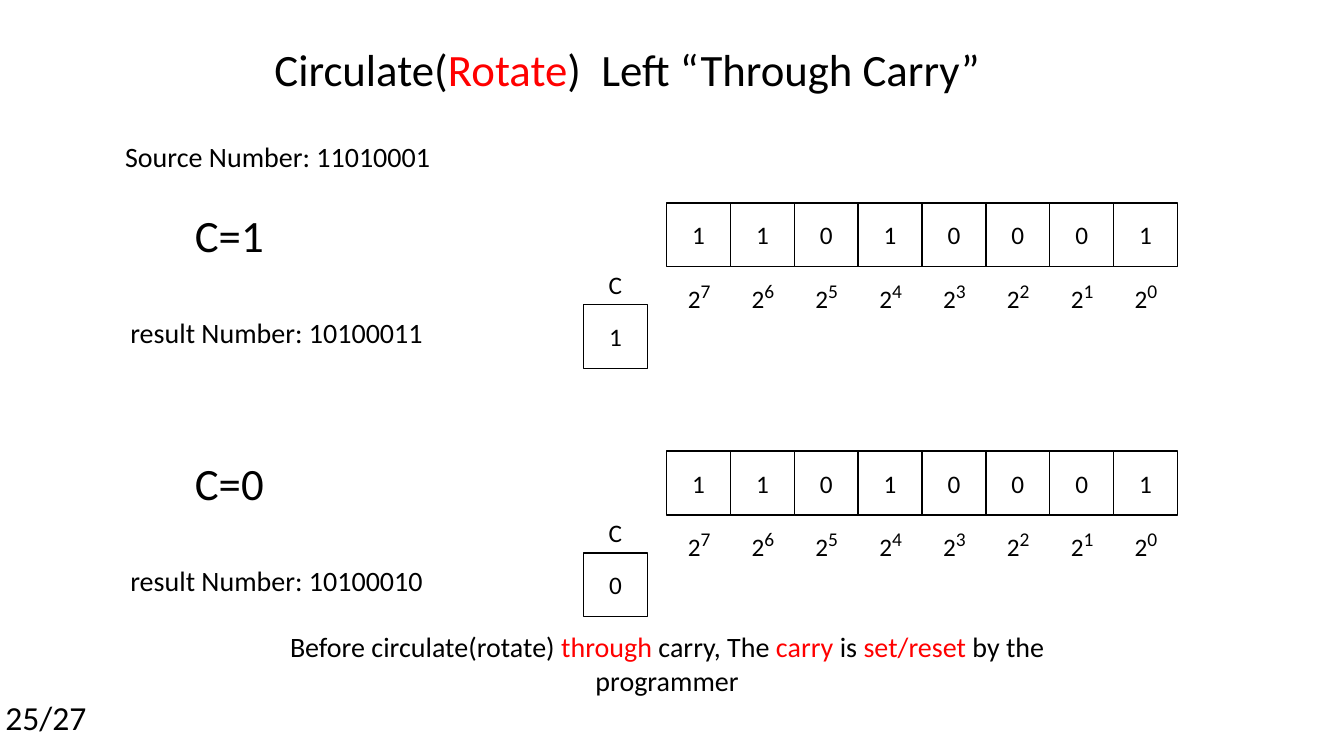
from pptx import Presentation
from pptx.dml.color import RGBColor
from pptx.enum.shapes import MSO_SHAPE
from pptx.enum.text import MSO_ANCHOR, PP_ALIGN
from pptx.util import Pt

RECT = MSO_SHAPE.RECTANGLE
LEFT, MID = PP_ALIGN.LEFT, PP_ALIGN.CENTER
TOP, CORE = MSO_ANCHOR.TOP, MSO_ANCHOR.MIDDLE

# Content: text runs are (text, style)
TITLE = [("Circulate(", ""), ("Rotate", "red"), (")  Left “Through Carry” ", "")]
SOURCE = "Source Number: 11010001"
BITS = "11010001"
CASES = [("1", "10100011"), ("0", "10100010")]
NOTE = [
    ("Before circulate(rotate) ", ""), ("through", "red"), (" carry, The ", ""),
    ("carry", "red"), (" is ", ""), ("set/reset ", "red"), ("by the programmer", ""),
]
PAGE = "25/27"

THEME = {
    "font": "Calibri",
    "ink": RGBColor(0, 0, 0),
    "red": RGBColor(255, 0, 0),
    "fill": RGBColor(255, 255, 255),
    "title": 32, "page": 24, "power": 24, "body": 20, "digit": 18,
}

# Layout in points
CELL = 45.6
ROW_X, ROW_Y = 476.2, 144.9
CASE_GAP = 177.3
CARRY_X = 416.9

deck = Presentation()
deck.slide_width, deck.slide_height = Pt(960), Pt(540)
slide = deck.slides.add_slide(deck.slide_layouts[6])


def write(shape, runs, size, align=MID, wrap=False, anchor=TOP):
    frame = shape.text_frame
    frame.word_wrap = wrap
    frame.vertical_anchor = anchor
    para = frame.paragraphs[0]
    para.alignment = align
    for text, style in runs:
        run = para.add_run()
        run.text = text
        font = run.font
        font.name = THEME["font"]
        font.size = Pt(THEME["power" if style == "super" else size])
        font.color.rgb = THEME["red" if style == "red" else "ink"]
        if style == "super":
            run._r.get_or_add_rPr().set("baseline", "30000")


def label(x, y, w, h, runs, size, align=MID, wrap=False):
    box = slide.shapes.add_textbox(Pt(x), Pt(y), Pt(w), Pt(h))
    write(box, runs, size, align, wrap)


def cell(x, y, digit):
    box = slide.shapes.add_shape(RECT, Pt(x), Pt(y), Pt(CELL), Pt(CELL))
    box.shadow.inherit = False
    box.fill.solid()
    box.fill.fore_color.rgb = THEME["fill"]
    box.line.color.rgb = THEME["ink"]
    box.line.width = Pt(1)
    write(box, [(digit, "")], "digit", anchor=CORE)


# Heading
label(188.6, 26.6, 526.3, 46, TITLE, "title")
label(78.5, 95.8, 239.8, 55, [(SOURCE, "")], "body")

# One block for each carry value
for i, (carry, result) in enumerate(CASES):
    y = ROW_Y + i * CASE_GAP
    for j, bit in enumerate(BITS):
        x = ROW_X + j * CELL
        power = str(len(BITS) - 1 - j)
        cell(x, y, bit)
        label(x + 8, y + 48, 31.7, 29, [("2", ""), (power, "super")], "digit", LEFT)
    cell(CARRY_X, y + 72.7, carry)
    label(CARRY_X + 10.8, y + 43.8, 24.5, 29, [("C", "")], "digit", LEFT)
    label(131.8, y, 64, 46, [("C=" + carry, "")], "title")
    label(73.4, y + 76.8, 248.4, 55, [("result Number: " + result, "")], "body", wrap=True)

# Closing note and page number
label(149, 446.4, 655, 55, NOTE, "body", wrap=True)
label(-3.6, 494.6, 72.7, 36, [(PAGE, "")], "page")

deck.save("out.pptx")
